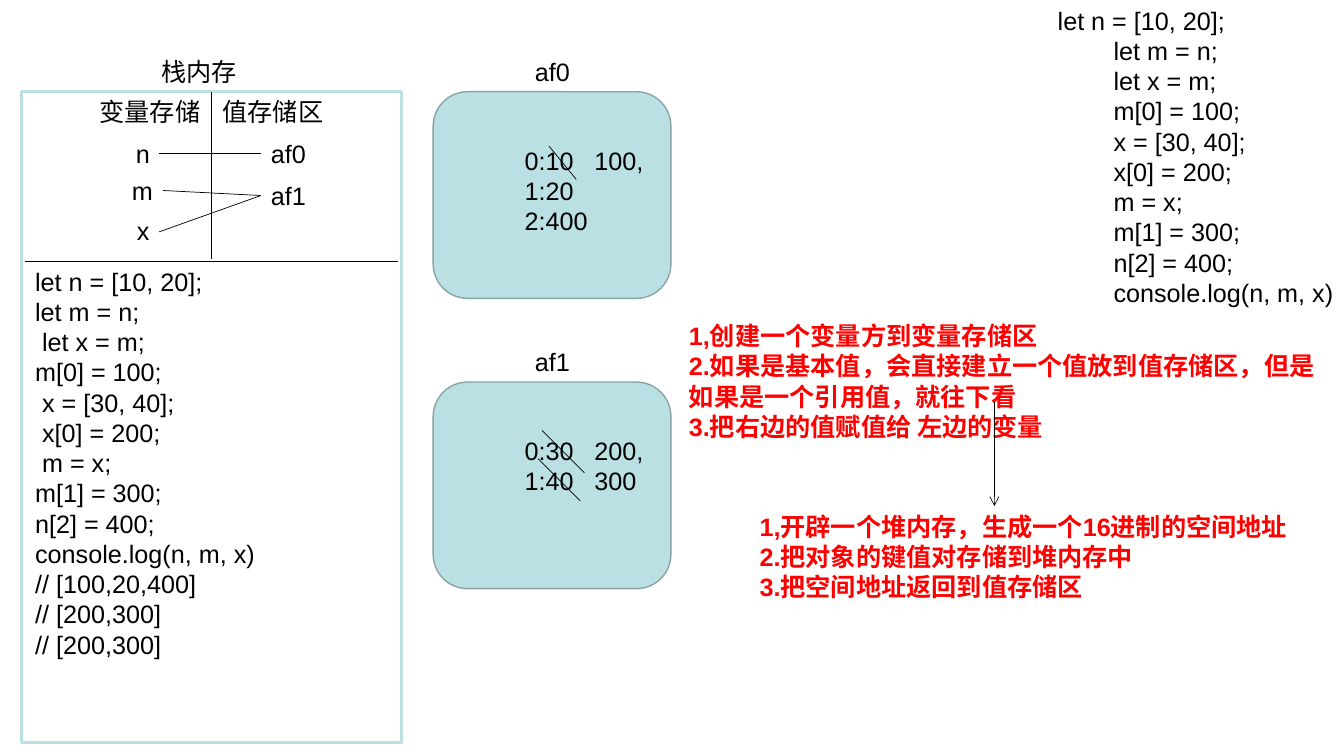
import pptx
import pptx.dml.color
import pptx.enum.shapes
import pptx.enum.text
import pptx.oxml.ns
import pptx.util
from lxml import etree

EMU_PER_PX = 9144
SLIDE_SIZE = (1334, 750)
BLACK, RED, WHITE, TEAL, TEAL_DARK = "000000", "FF0000", "FFFFFF", "BBE0E3", "89A4A7"
TEXT_PT, LINE_HEIGHT, BOX_PADDING = 18, 30, 10

SOURCE_CODE = [
    "let n = [10, 20];",
    "        let m = n;",
    "        let x = m;",
    "        m[0] = 100;",
    "        x = [30, 40];",
    "        x[0] = 200;",
    "        m = x;",
    "        m[1] = 300;",
    "        n[2] = 400;",
    "        console.log(n, m, x)",
]
EXECUTED_CODE = [
    "let n = [10, 20];",
    "let m = n;",
    " let x = m;",
    "m[0] = 100;",
    " x = [30, 40];",
    " x[0] = 200;",
    " m = x;",
    "m[1] = 300;",
    "n[2] = 400;",
    "console.log(n, m, x)",
    "// [100,20,400]",
    "// [200,300]",
    "// [200,300]",
]
ASSIGNMENT_STEPS = [
    "1,创建一个变量方到变量存储区",
    "2.如果是基本值，会直接建立一个值放到值存储区，但是",
    "如果是一个引用值，就往下看",
    "3.把右边的值赋值给 左边的变量",
]
HEAP_STEPS = [
    "1,开辟一个堆内存，生成一个16进制的空间地址",
    "2.把对象的键值对存储到堆内存中",
    "3.把空间地址返回到值存储区",
]

STACK = (21, 91, 378, 646)
HEAP_LEFT, HEAP_WIDTH, HEAP_HEIGHT = 430, 236, 205
# address, top, contents
HEAPS = [
    ("af0", 91, ["0:10\t100,", "1:20", "2:400"]),
    ("af1", 379, ["0:30\t200,", "1:40\t300"]),
]
HEAP_TAB, STACK_TAB = 69, 122

# left, top, width, lines, colour, tab stop
TEXTS = [
    (1040, 0, 293, SOURCE_CODE, BLACK, None),
    (150, 51, 95, ["栈内存"], BLACK, None),
    (89, 91, 242, ["变量存储\t值存储区"], BLACK, STACK_TAB),
    (25, 259, 238, EXECUTED_CODE, BLACK, None),
    (125, 132, 34, ["n"], BLACK, None),
    (121, 169, 41, ["m"], BLACK, None),
    (126, 209, 32, ["x"], BLACK, None),
    (259, 132, 55, ["af0"], BLACK, None),
    (259, 174, 55, ["af1"], BLACK, None),
    (674, 313, 647, ASSIGNMENT_STEPS, RED, None),
    (744, 502, 561, HEAP_STEPS, RED, None),
]

STACK_DIVIDERS = [(25, 259, 395, 259), (210, 91, 210, 257)]
REFERENCES = [(158, 152, 259, 152), (162, 189, 259, 194), (158, 230, 259, 194)]
STRIKES = [(545, 145, 572, 178), (538, 427, 580, 469), (534, 455, 576, 497)]
NEXT_STEP_ARROW = (987, 399, 987, 502)


def px(length):
    return pptx.util.Emu(length * EMU_PER_PX)


def rgb(colour):
    return pptx.dml.color.RGBColor.from_string(colour)


def add_panel(slide, preset, bounds, fill, outline, outline_pt):
    panel = slide.shapes.add_shape(preset, *map(px, bounds))
    panel.shadow.inherit = False
    panel.fill.solid()
    panel.fill.fore_color.rgb = rgb(fill)
    panel.line.color.rgb = rgb(outline)
    panel.line.width = pptx.util.Pt(outline_pt)


def add_tab_stop(paragraph, position):
    properties = paragraph._p.get_or_add_pPr()
    stops = etree.SubElement(properties, pptx.oxml.ns.qn("a:tabLst"))
    etree.SubElement(stops, pptx.oxml.ns.qn("a:tab"), pos=str(px(position)), algn="l")


def add_text(slide, left, top, width, lines, colour=BLACK, tab=None):
    """Add left-aligned lines; no right inset, so the longest line has room."""
    height = BOX_PADDING + LINE_HEIGHT * len(lines)
    frame = slide.shapes.add_textbox(*map(px, (left, top, width, height))).text_frame
    frame.word_wrap = False
    frame.margin_right = 0
    frame.vertical_anchor = pptx.enum.text.MSO_ANCHOR.TOP
    frame.text = "\n".join(lines)
    for paragraph in frame.paragraphs:
        paragraph.alignment = pptx.enum.text.PP_ALIGN.LEFT
        if tab:
            add_tab_stop(paragraph, tab)
        paragraph.font.name = "Arial"
        paragraph.font.size = pptx.util.Pt(TEXT_PT)
        paragraph.font.bold = colour == RED
        paragraph.font.color.rgb = rgb(colour)


def add_line(slide, ends, arrow=False):
    line = slide.shapes.add_connector(
        pptx.enum.shapes.MSO_CONNECTOR.STRAIGHT, *map(px, ends))
    line.line.color.rgb = rgb(BLACK)
    line.line.width = pptx.util.Pt(0.5)
    if arrow:
        etree.SubElement(line.line._get_or_add_ln(),
                         pptx.oxml.ns.qn("a:tailEnd"), type="arrow")
    etree.SubElement(line._element.spPr, pptx.oxml.ns.qn("a:effectLst"))


def main():
    presentation = pptx.Presentation()
    presentation.slide_width, presentation.slide_height = map(px, SLIDE_SIZE)
    slide = presentation.slides.add_slide(presentation.slide_layouts[6])
    presets = pptx.enum.shapes.MSO_SHAPE

    add_panel(slide, presets.RECTANGLE, STACK, WHITE, TEAL, 2.25)
    for address, top, contents in HEAPS:
        add_panel(slide, presets.ROUNDED_RECTANGLE,
                  (HEAP_LEFT, top, HEAP_WIDTH, HEAP_HEIGHT), TEAL, TEAL_DARK, 1)
        add_text(slide, HEAP_LEFT + 91, top - 40, 55, [address])
        add_text(slide, HEAP_LEFT + 81, top + 48, 138, contents, tab=HEAP_TAB)
    for text in TEXTS:
        add_text(slide, *text)
    for ends in STACK_DIVIDERS + REFERENCES + STRIKES:
        add_line(slide, ends)
    add_line(slide, NEXT_STEP_ARROW, arrow=True)

    presentation.save("out.pptx")


if __name__ == "__main__":
    main()
